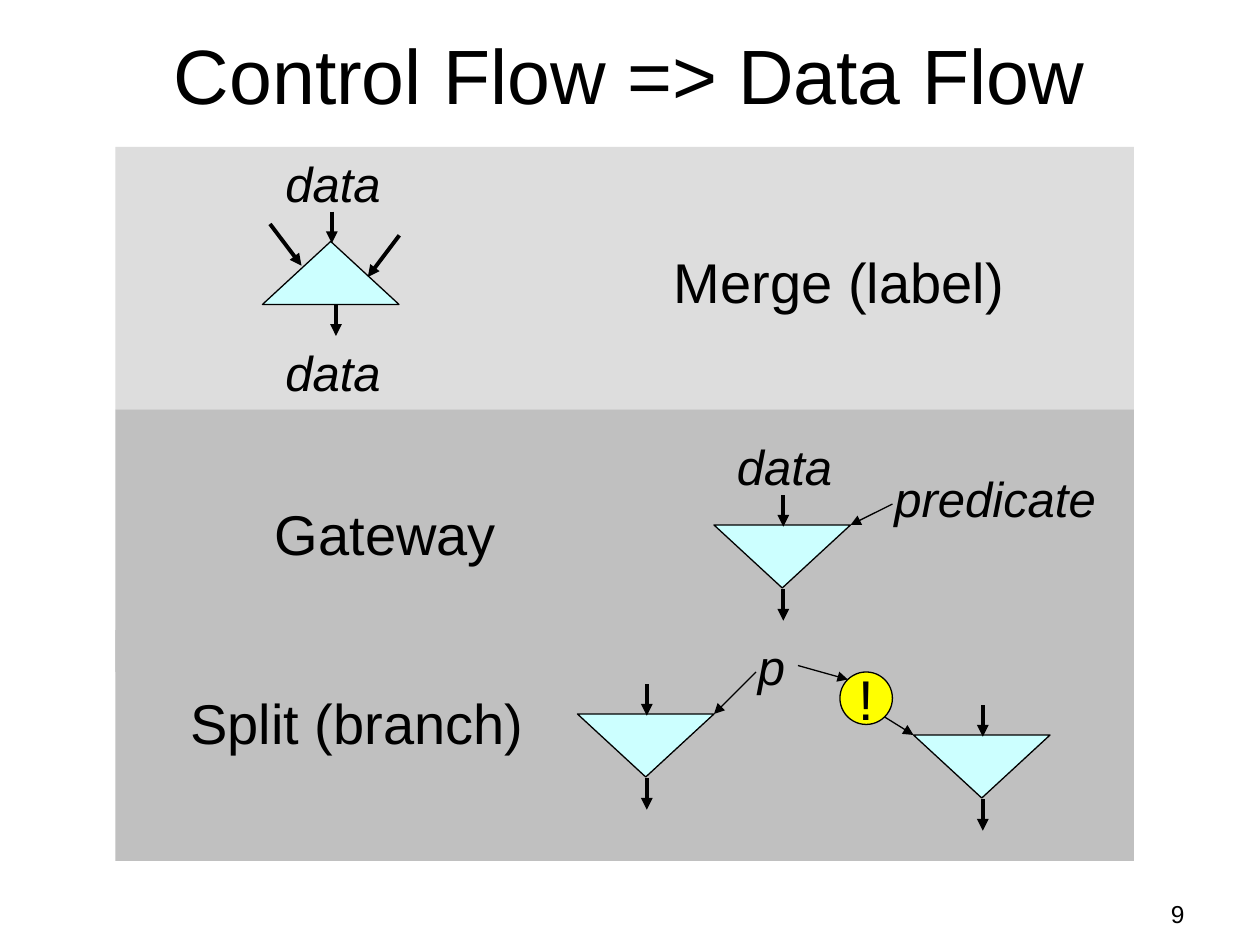
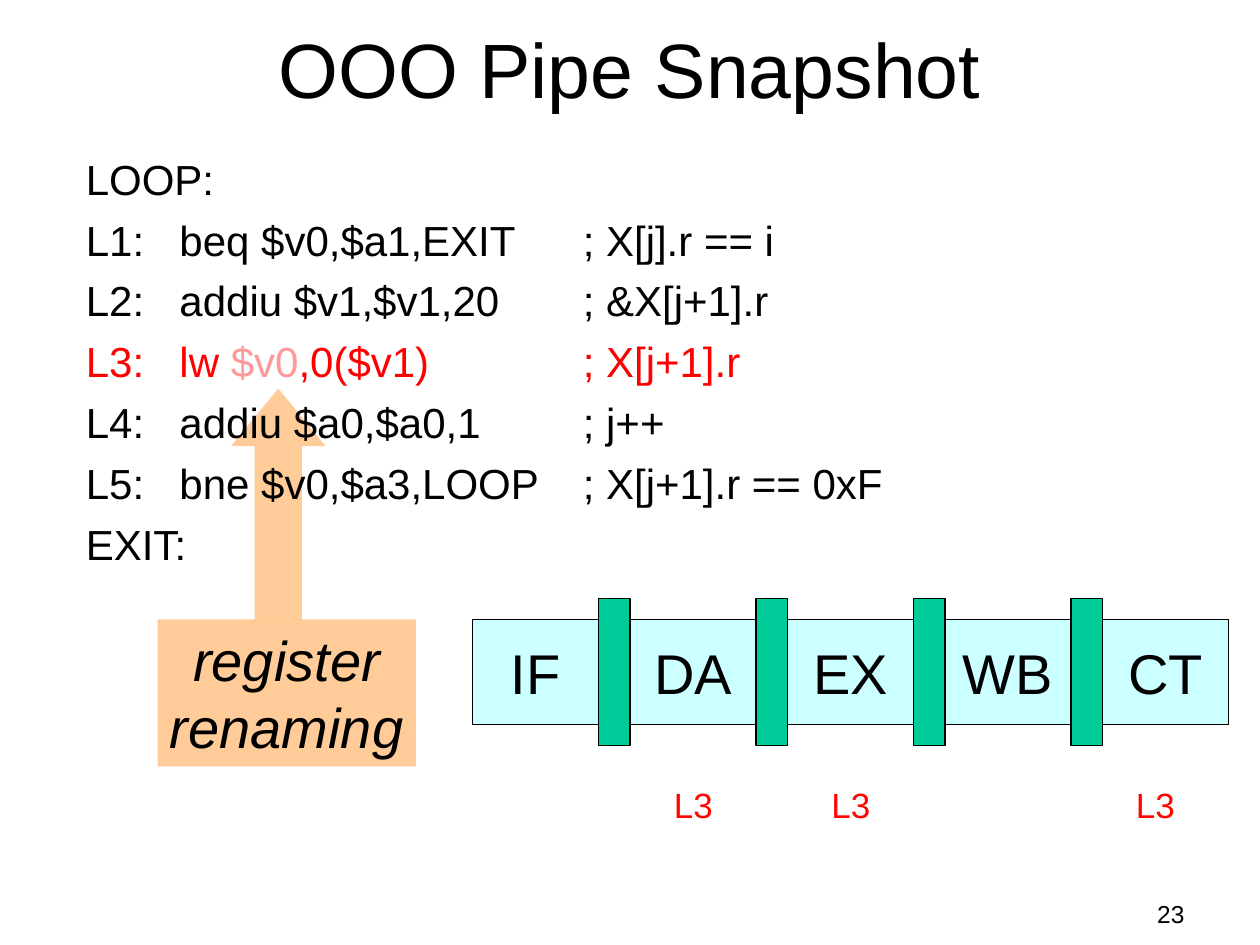
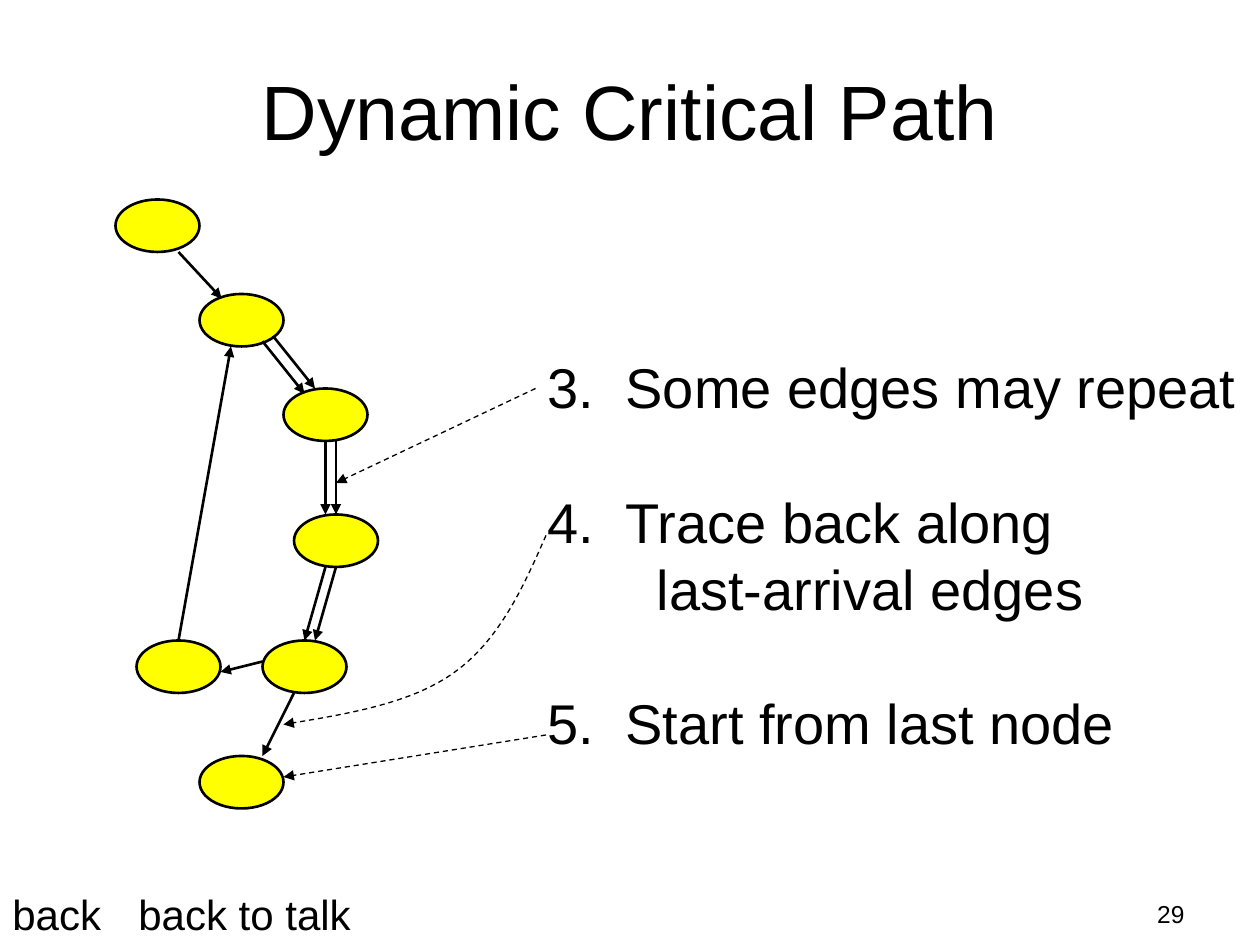
from lxml.etree import SubElement
from pptx import Presentation
from pptx.dml.color import RGBColor
from pptx.enum.dml import MSO_LINE
from pptx.enum.shapes import MSO_CONNECTOR, MSO_SHAPE
from pptx.enum.text import MSO_ANCHOR, MSO_AUTO_SIZE, PP_ALIGN
from pptx.oxml.ns import qn
from pptx.util import Pt

# Shared style
FONT = "Arial"
BLACK, RED, PALE_RED = "000000", "FF0000", "FF9999"
LABEL_RED, YELLOW, CYAN = "FF0701", "FFFF00", "CCFFFF"
GREEN, ORANGE = "00CC99", "FF9933"
LIGHT_GRAY, GRAY = "DDDDDD", "C0C0C0"
TITLE_AND_BODY, TITLE_ONLY = 1, 5


def color(hex_code):
    return RGBColor.from_string(hex_code)


def points(*values):
    return [Pt(value) for value in values]


# Text helpers
def format_paragraph(paragraph, size, hex_code=BLACK, italic=False, align=PP_ALIGN.LEFT):
    paragraph.alignment = align
    font = paragraph.font
    font.name, font.size, font.italic = FONT, Pt(size), italic
    font.color.rgb = color(hex_code)


def add_text(slide, text, left, top, width, height, size, hex_code=BLACK,
             italic=False, align=PP_ALIGN.LEFT):
    box = slide.shapes.add_textbox(*points(left, top, width, height))
    box.text_frame.word_wrap = False
    box.text_frame.auto_size = MSO_AUTO_SIZE.SHAPE_TO_FIT_TEXT
    paragraph = box.text_frame.paragraphs[0]
    paragraph.text = text
    format_paragraph(paragraph, size, hex_code, italic, align)


def paragraph_at(frame, index):
    return frame.paragraphs[0] if index == 0 else frame.add_paragraph()


def set_indent(paragraph, left, first_line):
    properties = paragraph._p.get_or_add_pPr()
    properties.set("marL", str(Pt(left)))
    properties.set("indent", str(Pt(first_line)))
    return properties


# Shape helpers
def add_box(slide, kind, left, top, width, height, fill, line_width=0, alpha=None):
    shape = slide.shapes.add_shape(kind, *points(left, top, width, height))
    shape.shadow.inherit = False
    shape.fill.solid()
    shape.fill.fore_color.rgb = color(fill)
    if alpha:
        tint = shape._element.spPr.find(qn("a:solidFill")).find(qn("a:srgbClr"))
        SubElement(tint, qn("a:alpha"), val=str(alpha * 1000))
    if line_width:
        shape.line.width = Pt(line_width)
        shape.line.color.rgb = color(BLACK)
    else:
        shape.line.fill.background()
    return shape


def caption_shape(shape, lines, size, italic=False, anchor=MSO_ANCHOR.MIDDLE):
    frame = shape.text_frame
    frame.word_wrap, frame.vertical_anchor = False, anchor
    for index, text in enumerate(lines):
        paragraph = paragraph_at(frame, index)
        paragraph.text = text
        format_paragraph(paragraph, size, italic=italic, align=PP_ALIGN.CENTER)


def style_arrow(shape, width, dashed):
    shape.line.width = Pt(width)
    shape.line.color.rgb = color(BLACK)
    if dashed:
        shape.line.dash_style = MSO_LINE.DASH
    SubElement(shape._element.spPr.find(qn("a:ln")), qn("a:tailEnd"), type="triangle")


def add_arrow(slide, start, end, width, dashed=False):
    connector = slide.shapes.add_connector(
        MSO_CONNECTOR.STRAIGHT, *points(*start, *end))
    style_arrow(connector, width, dashed)
    SubElement(connector._element.spPr, qn("a:effectLst"))


def bezier(start, control_1, control_2, end, steps=16):
    for step in range(1, steps + 1):
        t = step / steps
        yield tuple(Pt((1 - t) ** 3 * a + 3 * (1 - t) ** 2 * t * b
                       + 3 * (1 - t) * t ** 2 * c + t ** 3 * d)
                    for a, b, c, d in zip(start, control_1, control_2, end))


def add_curved_arrow(slide, start, curves, width):
    builder = slide.shapes.build_freeform(*points(*start))
    for control_1, control_2, end in curves:
        builder.add_line_segments(list(bezier(start, control_1, control_2, end)), close=False)
        start = end
    shape = builder.convert_to_shape()
    shape.shadow.inherit = False
    shape.fill.background()
    style_arrow(shape, width, dashed=True)


def start_slide(presentation, layout, title, top, height, number):
    slide = presentation.slides.add_slide(presentation.slide_layouts[layout])
    shape = slide.shapes.title
    shape.left, shape.top, shape.width, shape.height = points(54, top, 612, height)
    shape.text_frame.vertical_anchor = MSO_ANCHOR.MIDDLE
    shape.text_frame.auto_size = MSO_AUTO_SIZE.NONE
    shape.text_frame.text = title
    format_paragraph(shape.text_frame.paragraphs[0], 44, align=PP_ALIGN.CENTER)
    add_text(slide, number, 648, 510, 36, 30, 14, align=PP_ALIGN.RIGHT)
    return slide


# Control flow slide
MERGE_ARROWS = [((4.3, -10), (22.3, 13.8)), ((39.6, -17), (39.6, 1)),
                ((78.2, -3.5), (60.2, 20.3)), ((42, 36), (42, 54))]
GATE_ARROWS = [((39.6, -17), (39.6, 1)), ((39.6, 36.7), (39.6, 54.7))]


def add_gate(slide, left, top, arrows=GATE_ARROWS, rotation=180):
    triangle = add_box(slide, MSO_SHAPE.ISOSCELES_TRIANGLE, left, top, 78, 36, CYAN, 0.75)
    triangle.rotation = rotation
    for (x1, y1), (x2, y2) in arrows:
        add_arrow(slide, (left + x1, top + y1), (left + x2, top + y2), 2.25)


def add_data_label(slide, text, left, top, width):
    add_text(slide, text, left, top, width, 41, 28, italic=True)


def add_panel(slide, top, height, fill, name, name_left, name_top, name_width):
    add_box(slide, MSO_SHAPE.RECTANGLE, 66, top, 582, height, fill)
    add_text(slide, name, name_left, top + name_top, name_width, 46, 32)


def add_merge(slide, top):
    add_panel(slide, top, 150, LIGHT_GRAY, "Merge (label)", 378, 54, 204)
    add_gate(slide, 150, top + 54, MERGE_ARROWS, rotation=0)
    for offset in (0, 108):
        add_data_label(slide, "data", 156, top + offset, 71)


def add_gateway(slide, top):
    add_panel(slide, top, 150, GRAY, "Gateway", 150, 48, 143)
    add_gate(slide, 408, top + 66)
    add_arrow(slide, (510, top + 54), (486, top + 66), 0.75)
    add_data_label(slide, "data", 414, top + 12, 71)
    add_data_label(slide, "predicate", 504, top + 30, 132)


def add_split(slide, top):
    add_panel(slide, top, 132, GRAY, "Split (branch)", 101.7, 30, 207)
    add_gate(slide, 330, top + 48)
    add_gate(slide, 522, top + 60)
    add_data_label(slide, "p", 426, top, 31)
    negation = add_box(slide, MSO_SHAPE.OVAL, 480, top + 24, 30, 30, YELLOW, 0.75)
    caption_shape(negation, ["!"], 32)
    for (x1, y1), (x2, y2) in [((432, 24), (408, 48)), ((456, 20.3), (484.5, 28.3)),
                               ((505.5, 49.7), (522, 60))]:
        add_arrow(slide, (x1, top + y1), (x2, top + y2), 0.75)


def control_flow_slide(presentation):
    slide = start_slide(presentation, TITLE_ONLY, "Control Flow => Data Flow", 12, 60, "9")
    add_merge(slide, 84)
    add_gateway(slide, 234)
    add_split(slide, 360)


# Pipeline slide
CODE = [
    [("LOOP:", BLACK)],
    [("L1:\tbeq $v0,$a1,EXIT\t; X[j].r == i", BLACK)],
    [("L2:\taddiu $v1,$v1,20\t; &X[j+1].r", BLACK)],
    [("L3:\tlw ", RED), ("$v0", PALE_RED), (",0($v1)\t; X[j+1].r", RED)],
    [("L4:\taddiu $a0,$a0,1\t; j++", BLACK)],
    [("L5:\tbne $v0,$a3,LOOP\t; X[j+1].r == 0xF", BLACK)],
    [("EXIT:", BLACK)],
]
CODE_TABS = (53.5, 284)
STAGES = ["IF", "DA", "EX", "WB", "CT"]
L3_OFFSETS = {"DA": 18, "EX": 18, "CT": 12}


def add_code(slide, left, top, width, height):
    frame = slide.shapes.add_textbox(*points(left, top, width, height)).text_frame
    frame.word_wrap = True
    for index, pieces in enumerate(CODE):
        paragraph = paragraph_at(frame, index)
        paragraph.space_before = Pt(6)
        tabs = SubElement(paragraph._p.get_or_add_pPr(), qn("a:tabLst"))
        for position in CODE_TABS:
            SubElement(tabs, qn("a:tab"), pos=str(Pt(position)), algn="l")
        format_paragraph(paragraph, 24)
        for text, hex_code in pieces:
            run = paragraph.add_run()
            run.text = text
            run.font.color.rgb = color(hex_code)


def add_pipeline(slide, left, top):
    for index, stage in enumerate(STAGES):
        stage_left = left + 90 * index
        if index < len(STAGES) - 1:
            add_box(slide, MSO_SHAPE.RECTANGLE, stage_left + 72, top, 18, 84, GREEN, 0.75)
        box = add_box(slide, MSO_SHAPE.RECTANGLE, stage_left, top + 12, 72, 60, CYAN, 0.75)
        caption_shape(box, [stage], 32)
        if stage in L3_OFFSETS:
            add_text(slide, "L3", stage_left + L3_OFFSETS[stage], top + 102,
                     38, 31, 20, LABEL_RED)


def add_renaming(slide, left, top):
    arrow = add_box(slide, MSO_SHAPE.UP_ARROW, left + 42, top, 54, 132, ORANGE, alpha=50)
    arrow.adjustments[0], arrow.adjustments[1] = 0.5, 0.61
    box = add_box(slide, MSO_SHAPE.RECTANGLE, left, top + 132, 147.6, 84, ORANGE, alpha=50)
    caption_shape(box, ["register", "renaming"], 32, italic=True, anchor=MSO_ANCHOR.TOP)


def pipeline_slide(presentation):
    slide = start_slide(presentation, TITLE_ONLY, "OOO Pipe Snapshot", 11.7, 54, "23")
    add_pipeline(slide, 270, 342)
    add_renaming(slide, 90, 222)
    add_code(slide, 42, 84, 534, 246)


# Critical path slide, graph positions relative to its top left corner
NODES = [(48, 318), (84, 252), (102, 180), (96, 108), (48, 54), (0, 0), (12, 252)]
EDGES = [
    ((36, 30), (60.7, 56.6)), ((90, 78), (114, 108)), ((84, 81), (108, 111)),
    ((126, 138), (126, 180)), ((120, 138), (120, 180)), ((126, 210), (114, 252)),
    ((120, 210), (108, 252)), ((102, 282), (84, 318)), ((84, 264), (60, 270)),
    ((36, 252), (66, 84)),
]
# Number (None for a continuation), text, space before
STEPS = [(3, "Some edges may repeat", 0), (4, "Trace back along", 38.4),
         (None, "last-arrival edges", 0), (5, "Start from last node", 38.4)]


def add_graph(slide, left, top):
    for x, y in NODES:
        add_box(slide, MSO_SHAPE.OVAL, left + x, top + y, 48, 30, YELLOW, 1.5)
    for (x1, y1), (x2, y2) in EDGES:
        add_arrow(slide, (left + x1, top + y1), (left + x2, top + y2), 1.5)


def add_steps(slide, left, top, width, height):
    body = slide.placeholders[1]
    body.left, body.top, body.width, body.height = points(left, top, width, height)
    frame = body.text_frame
    frame.word_wrap, frame.auto_size = True, MSO_AUTO_SIZE.NONE
    for index, (number, text, gap) in enumerate(STEPS):
        paragraph = paragraph_at(frame, index)
        paragraph.text = text
        paragraph.space_before = Pt(gap)
        if number:
            properties = set_indent(paragraph, 44.7, -44.7)
            SubElement(properties, qn("a:buFont"), typeface=FONT)
            SubElement(properties, qn("a:buAutoNum"), type="arabicPeriod",
                       startAt=str(number))
        else:
            SubElement(set_indent(paragraph, 62.5, 0), qn("a:buNone"))
        format_paragraph(paragraph, 32)


def add_pointers(slide):
    add_arrow(slide, (312, 420), (162, 444), 0.75, dashed=True)
    add_arrow(slide, (306, 222), (192, 276), 0.75, dashed=True)
    add_curved_arrow(slide, (312, 306), [
        ((299, 336), (285, 366), (260, 384)),
        ((235.5, 402), (199, 408), (162, 414)),
    ], 0.75)


def critical_path_slide(presentation):
    slide = start_slide(presentation, TITLE_AND_BODY, "Dynamic Critical Path", 29.7, 66, "29")
    add_graph(slide, 66, 114)
    add_steps(slide, 305.6, 198, 412, 237.6)
    add_pointers(slide)
    for text, left, width in [("back", 0, 68), ("back to talk", 72, 139)]:
        add_text(slide, text, left, 504, width, 36, 24)


def main():
    presentation = Presentation()
    presentation.slide_width, presentation.slide_height = points(720, 540)
    control_flow_slide(presentation)
    pipeline_slide(presentation)
    critical_path_slide(presentation)
    presentation.save("out.pptx")


if __name__ == "__main__":
    main()
